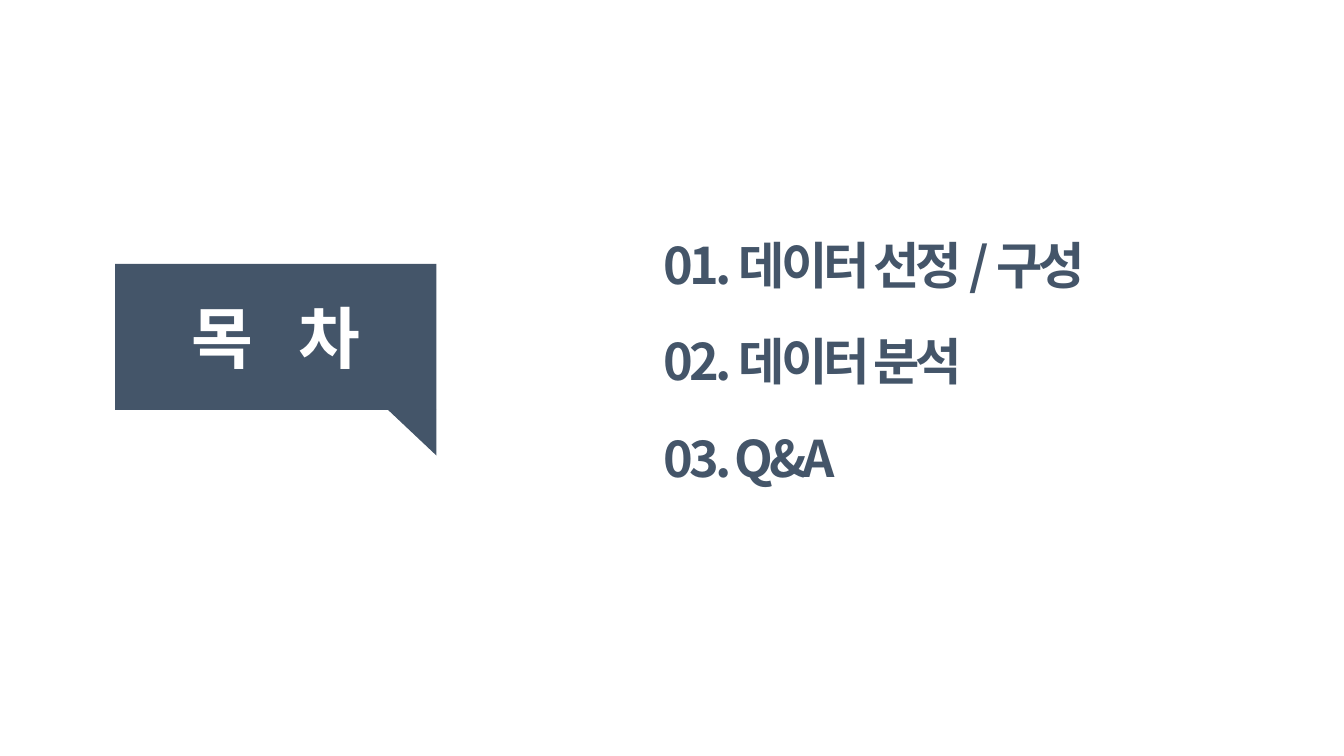
from dataclasses import dataclass

from lxml.etree import SubElement
from pptx import Presentation
from pptx.dml.color import RGBColor
from pptx.enum.shapes import MSO_SHAPE as Shape
from pptx.enum.text import MSO_ANCHOR as Anchor, MSO_AUTO_SIZE as AutoSize, PP_ALIGN as Align
from pptx.oxml.ns import qn
from pptx.util import Cm, Pt

TITLE = [("목", 0), (" ", 21.5), ("차", 0)]  # text, letter spacing in points
AGENDA = ["01. 데이터 선정 / 구성", "02. 데이터 분석", "03. Q&A"]


@dataclass(frozen=True)
class Theme:
    font: str = "Noto Sans CJK KR"
    navy: RGBColor = RGBColor(0x44, 0x55, 0x69)
    white: RGBColor = RGBColor(0xFF, 0xFF, 0xFF)
    title: int = 48
    item: int = 36
    tracking: float = -2.9


THEME = Theme()
BANNER = (2.9, 6.65, 8.1, 3.68)  # left, top, width, height in cm
TAIL_W, TAIL_H = 1.22, 1.15
ITEM_LEFT, ITEM_TOP, ITEM_STEP = 16.48, 5.89, 2.44
ITEM_W, ITEM_H = 15.3, 1.55


def add_text(p, text, *, size, color, spacing=0):
    r = p.add_run()
    r.text = text
    f = r.font
    f.name, f.size, f.bold = THEME.font, Pt(size), True
    f.color.rgb = color
    rPr = r._r.get_or_add_rPr()
    SubElement(rPr, qn("a:ea")).set("typeface", THEME.font)
    if spacing:
        rPr.set("spc", str(round(spacing * 100)))


def add_block(s, kind, *box):
    sp = s.shapes.add_shape(kind, *map(Cm, box))
    sp.shadow.inherit = False
    sp.fill.solid()
    sp.fill.fore_color.rgb = THEME.navy
    sp.line.fill.background()
    return sp


def add_banner(s):
    """Draw the title banner as a speech bubble with its tail at lower right."""
    left, top, width, height = BANNER
    tail = add_block(s, Shape.RIGHT_TRIANGLE, left + width - TAIL_W, top + height, TAIL_W, TAIL_H)
    tail.rotation = 180
    tf = add_block(s, Shape.RECTANGLE, *BANNER).text_frame
    tf.vertical_anchor = Anchor.MIDDLE
    p = tf.paragraphs[0]
    p.alignment = Align.CENTER
    for text, spacing in TITLE:
        add_text(p, text, size=THEME.title, color=THEME.white, spacing=spacing)


def add_agenda(s):
    for i, item in enumerate(AGENDA):
        box = (ITEM_LEFT, ITEM_TOP + i * ITEM_STEP, ITEM_W, ITEM_H)
        tf = s.shapes.add_textbox(*map(Cm, box)).text_frame
        tf.word_wrap = True
        tf.auto_size = AutoSize.SHAPE_TO_FIT_TEXT
        tf.margin_top = tf.margin_bottom = 0
        add_text(tf.paragraphs[0], item, size=THEME.item, color=THEME.navy, spacing=THEME.tracking)


def main():
    prs = Presentation()
    prs.slide_width, prs.slide_height = Cm(33.87), Cm(19.05)
    s = prs.slides.add_slide(prs.slide_layouts[6])
    add_banner(s)
    add_agenda(s)
    prs.save("out.pptx")


if __name__ == "__main__":
    main()
